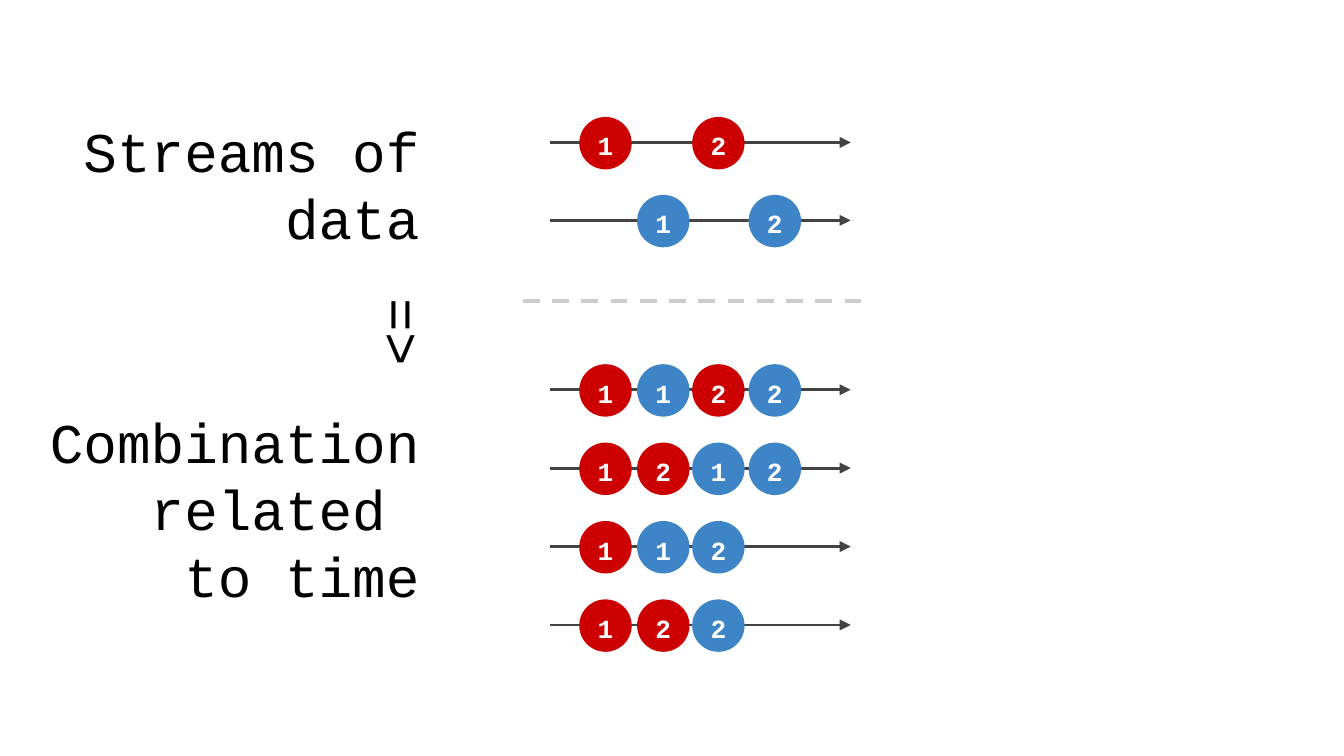
"""Build a slide on streams of data and their combinations over time."""
from lxml.etree import SubElement
from pptx import Presentation
from pptx.dml.color import RGBColor
from pptx.enum.dml import MSO_LINE
from pptx.enum.shapes import MSO_CONNECTOR, MSO_SHAPE
from pptx.enum.text import MSO_ANCHOR, PP_ALIGN
from pptx.oxml.ns import qn
from pptx.util import Inches, Pt

COLORS = {
    "red": "CC0000",
    "blue": "3D85C6",
    "axis": "434343",
    "divider": "CCCCCC",
    "black": "000000",
    "white": "FFFFFF",
}
FONT = "Courier New"

LABELS = [
    ("Streams of data", (0.18, 0.87, 3.04, 0.99), 0),
    ("=>", (2.65, 2.17, 0.72, 0.58), 90),
    ("Combination related \nto time", (0.18, 2.71, 3.04, 2.14), 0),
]

SOURCES = [
    [("red", "1", 0), ("red", "2", 2)],
    [("blue", "1", 1), ("blue", "2", 3)],
]
COMBINATIONS = [
    [("red", "1", 0), ("blue", "1", 1), ("red", "2", 2), ("blue", "2", 3)],
    [("red", "1", 0), ("red", "2", 1), ("blue", "1", 2), ("blue", "2", 3)],
    [("red", "1", 0), ("blue", "1", 1), ("blue", "2", 2)],
    [("red", "1", 0), ("red", "2", 1), ("blue", "2", 2)],
]
STREAM_GROUPS = [(1.06, 1.64, SOURCES), (2.9, 4.65, COMBINATIONS)]

AXIS_LEFT, AXIS_RIGHT = 4.09, 6.33
SLOT_LEFTS = [4.31, 4.74, 5.15, 5.57]
EVENT_SIZE, EVENT_RISE = 0.39, 0.19
DIVIDER_LEFT, DIVIDER_RIGHT, DIVIDER_Y = 3.89, 6.5, 2.24


def rgb(name):
    return RGBColor.from_string(COLORS[name])


def write_text(shape, text, *, size, color, align, inset, bold=False, spacing=None):
    frame = shape.text_frame
    frame.word_wrap = True
    frame.vertical_anchor = MSO_ANCHOR.MIDDLE
    frame.margin_left = frame.margin_right = Inches(inset)
    frame.margin_top = frame.margin_bottom = Inches(inset)
    paragraph = frame.paragraphs[0]
    paragraph.text = text
    paragraph.alignment = align
    paragraph.line_spacing = spacing
    for run in paragraph.runs:
        run.font.name = FONT
        run.font.size = Pt(size)
        run.font.bold = bold
        run.font.color.rgb = rgb(color)


def add_line(slide, left, right, y, *, color, width, dash=None, arrow=False):
    line = slide.shapes.add_connector(
        MSO_CONNECTOR.STRAIGHT, Inches(left), Inches(y), Inches(right), Inches(y)
    )
    line.line.color.rgb = rgb(color)
    line.line.width = Pt(width)
    if dash:
        line.line.dash_style = dash
    if arrow:
        outline = line._element.spPr.find(qn("a:ln"))
        SubElement(outline, qn("a:tailEnd"), type="triangle")
    SubElement(line._element.spPr, qn("a:effectLst"))


def add_event(slide, color, number, slot, y):
    event = slide.shapes.add_shape(
        MSO_SHAPE.OVAL, Inches(SLOT_LEFTS[slot]), Inches(y - EVENT_RISE),
        Inches(EVENT_SIZE), Inches(EVENT_SIZE),
    )
    event.shadow.inherit = False
    event.fill.solid()
    event.fill.fore_color.rgb = rgb(color)
    event.line.fill.background()
    write_text(event, number, size=14, color="white", align=PP_ALIGN.CENTER,
               inset=0, bold=True, spacing=1.15)


def add_stream(slide, events, y):
    add_line(slide, AXIS_LEFT, AXIS_RIGHT, y, color="axis", width=1.5, arrow=True)
    for color, number, slot in events:
        add_event(slide, color, number, slot, y)


def main():
    presentation = Presentation()
    presentation.slide_width = Inches(10)
    presentation.slide_height = presentation.slide_width * 9 // 16
    slide = presentation.slides.add_slide(presentation.slide_layouts[6])

    for first, last, streams in STREAM_GROUPS:
        pitch = (last - first) / (len(streams) - 1)
        for index, events in enumerate(streams):
            add_stream(slide, events, first + index * pitch)
    add_line(slide, DIVIDER_LEFT, DIVIDER_RIGHT, DIVIDER_Y,
             color="divider", width=2.25, dash=MSO_LINE.DASH)

    for text, box, rotation in LABELS:
        label = slide.shapes.add_textbox(*map(Inches, box))
        label.rotation = rotation
        write_text(label, text, size=30, color="black", align=PP_ALIGN.RIGHT, inset=0.1)

    presentation.save("out.pptx")


if __name__ == "__main__":
    main()
